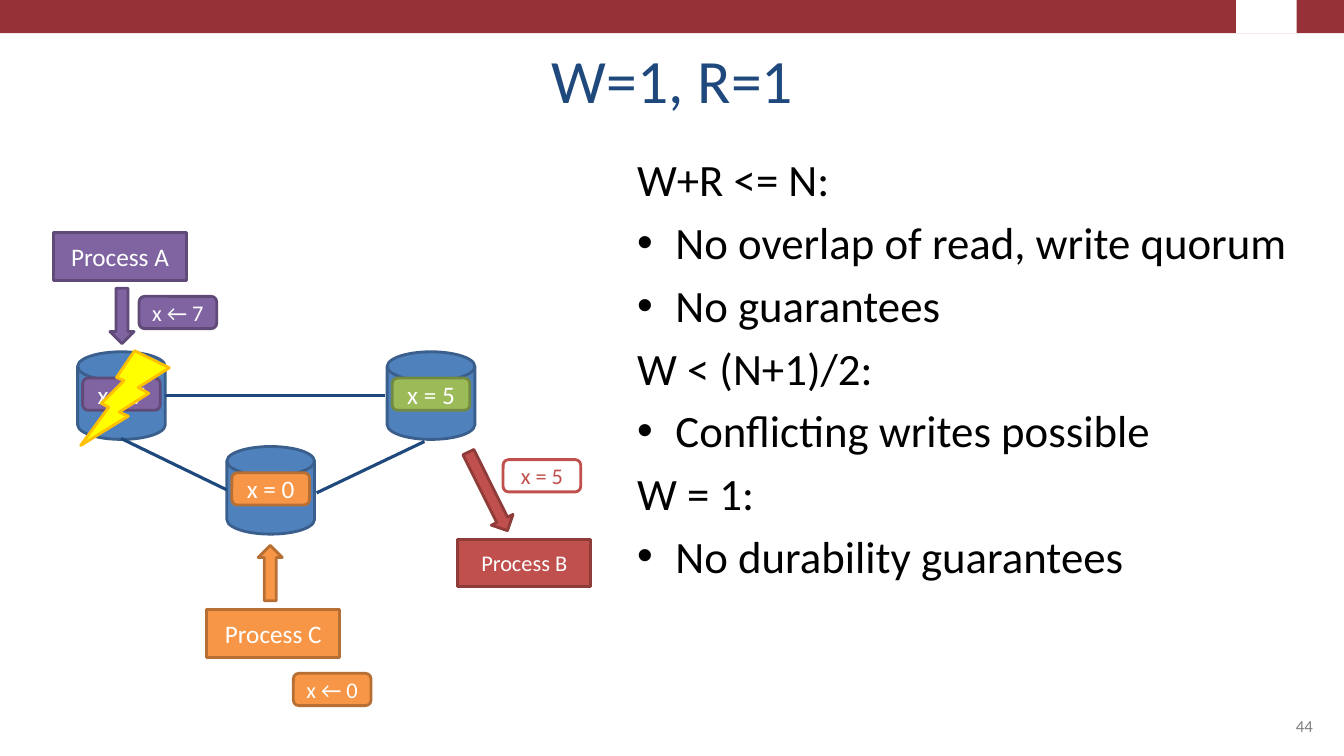
from dataclasses import dataclass
from pptx import Presentation, util as u
from pptx.dml.color import RGBColor
from pptx.enum import shapes, text
from lxml import etree

NS = "http://schemas.openxmlformats.org/drawingml/2006/main"
KIND = shapes.MSO_SHAPE
ALIGN = text.PP_ALIGN
ANCHOR = text.MSO_ANCHOR


@dataclass(frozen=True)
class Theme:
    font: str = "Calibri"
    head: int = 44
    body: int = 32
    label: int = 18
    small: int = 16
    page: int = 12
    edge: float = 2
    link: float = 2.25
    navy: str = "1F497D"
    black: str = "000000"
    white: str = "FFFFFF"
    gray: str = "808080"
    band: str = "963237"
    blue: tuple = ("4F81BD", "3A5F8C")
    purple: tuple = ("8064A2", "5F4A78")
    red: tuple = ("C0504D", "8E3B39")
    orange: tuple = ("F79646", "B76F34")
    green: tuple = ("9BBB59", "738A42")
    pale: tuple = ("FFFFFF", "C0504D")
    yellow: tuple = ("FFFF00", "FFC000")


def rgb(code):
    return RGBColor.from_string(code)


def box(*nums):
    return [u.Inches(n) for n in nums]


def write(frame, lines, font, size, color, align=ALIGN.LEFT,
          anchor=ANCHOR.TOP, inset=(0.1, 0.05), gap=0):
    frame.word_wrap = True
    frame.auto_size = text.MSO_AUTO_SIZE.NONE
    frame.vertical_anchor = anchor
    frame.margin_left = frame.margin_right = u.Inches(inset[0])
    frame.margin_top = frame.margin_bottom = u.Inches(inset[1])
    for i, line in enumerate(lines):
        para = frame.add_paragraph() if i else frame.paragraphs[0]
        para.alignment = align
        para.space_before = u.Pt(gap if i else 0)
        if line.startswith("•"):
            props = para._p.get_or_add_pPr()
            props.set("marL", str(u.Inches(0.38)))
            props.set("indent", str(-u.Inches(0.38)))
            etree.SubElement(props, f"{{{NS}}}buFont", typeface="Arial")
            etree.SubElement(props, f"{{{NS}}}buChar", char="•")
        run = para.add_run()
        run.text = line.removeprefix("•")
        run.font.name = font
        run.font.size = u.Pt(size)
        run.font.color.rgb = rgb(color)


class Deck:
    def __init__(self, theme):
        self.theme = theme
        self.file = Presentation()
        self.file.slide_width, self.file.slide_height = box(13.33, 7.5)
        self.slide = self.file.slides.add_slide(self.file.slide_layouts[5])

    def title(self, line, *area):
        item = self.slide.shapes.title
        item.left, item.top, item.width, item.height = box(*area)
        write(item.text_frame, [line], self.theme.font, self.theme.head,
              self.theme.navy, align=ALIGN.CENTER, anchor=ANCHOR.BOTTOM,
              inset=(0.1, 0.02))

    def text(self, lines, *area, **form):
        item = self.slide.shapes.add_textbox(*box(*area))
        write(item.text_frame, lines, self.theme.font, **form)

    def shape(self, kind, paint, *area, turn=0, label="", size=None,
              color=None):
        item = self.slide.shapes.add_shape(kind, *box(*area))
        item.shadow.inherit = False
        item.rotation = turn
        fill, edge = paint
        item.fill.solid()
        item.fill.fore_color.rgb = rgb(fill)
        if edge:
            item.line.color.rgb = rgb(edge)
            item.line.width = u.Pt(self.theme.edge)
        else:
            item.line.fill.background()
        if label:
            write(item.text_frame, [label], self.theme.font,
                  size or self.theme.label, color or self.theme.white,
                  align=ALIGN.CENTER, anchor=ANCHOR.MIDDLE, inset=(0, 0))
        return item

    def disk(self, x, y):
        self.shape(KIND.FLOWCHART_MAGNETIC_DISK, self.theme.blue,
                   x, y, 0.87, 0.87)

    def process(self, name, paint, x, y, **form):
        self.shape(KIND.RECTANGLE, paint, x, y, 1.32, 0.47, label=name, **form)

    def pill(self, label, paint, x, y, **form):
        self.shape(KIND.ROUNDED_RECTANGLE, paint, x, y, 0.77, 0.32,
                   label=label, **form)

    def arrow(self, paint, x, y, high=0.55, turn=0):
        self.shape(KIND.DOWN_ARROW, paint, x, y, 0.24, high, turn=turn)

    def link(self, *ends):
        line = self.slide.shapes.add_connector(
            shapes.MSO_CONNECTOR.STRAIGHT, *box(*ends))
        line.line.color.rgb = rgb(self.theme.navy)
        line.line.width = u.Pt(self.theme.link)
        etree.SubElement(line._element.spPr, f"{{{NS}}}effectLst")


def main():
    t = Theme()
    deck = Deck(t)
    deck.shape(KIND.RECTANGLE, (t.band, None), 0, 0, 13.33, 0.33)
    deck.shape(KIND.RECTANGLE, (t.white, None), 12.26, 0, 0.6, 0.33)
    deck.title("W=1, R=1", 0.67, 0.3, 12, 0.87)
    deck.text(["44"], 9.56, 6.83, 3.56, 0.52, size=t.page, color=t.gray,
              align=ALIGN.RIGHT, anchor=ANCHOR.BOTTOM)

    nodes = [(0.77, 3.49, "x = 7", t.purple),
             (2.25, 4.43, "x = 0", t.orange),
             (3.84, 3.49, "x = 5", t.green)]
    for x, y, _, _ in nodes:
        deck.disk(x, y)
    for ends in [(1.2, 4.35, 2.25, 4.86), (3.14, 4.89, 4.21, 4.38),
                 (1.64, 3.92, 3.82, 3.92)]:
        deck.link(*ends)
    for x, y, value, paint in nodes:
        deck.pill(value, paint, x + 0.05, y + 0.26)

    deck.process("Process A", t.purple, 0.53, 2.31)
    deck.arrow(t.purple, 1.09, 2.86)
    deck.pill("x ← 7", t.purple, 1.38, 2.94, size=t.small)

    deck.process("Process B", t.red, 4.54, 5.35, size=t.small)
    deck.arrow(t.red, 4.72, 4.44, high=0.87, turn=333.5)
    deck.pill("x = 5", t.pale, 4.99, 4.56, size=t.small, color=t.red[0])

    deck.text(["W+R <= N:", "•No overlap of read, write quorum",
               "•No guarantees", "W < (N+1)/2:",
               "•Conflicting writes possible", "W = 1:",
               "•No durability guarantees"],
              6.22, 1.46, 6.82, 5.37, size=t.body, color=t.black, gap=6.4)

    bolt = deck.shape(KIND.LIGHTNING_BOLT, t.yellow, 0.8, 3.48, 0.88, 0.94)
    bolt._element.spPr.xfrm.set("flipH", "1")

    deck.process("Process C", t.orange, 2.05, 6.05)
    deck.arrow(t.orange, 2.56, 5.41, turn=180)
    deck.pill("x ← 0", t.orange, 2.91, 6.68, size=t.small)

    deck.file.save("out.pptx")


if __name__ == "__main__":
    main()
